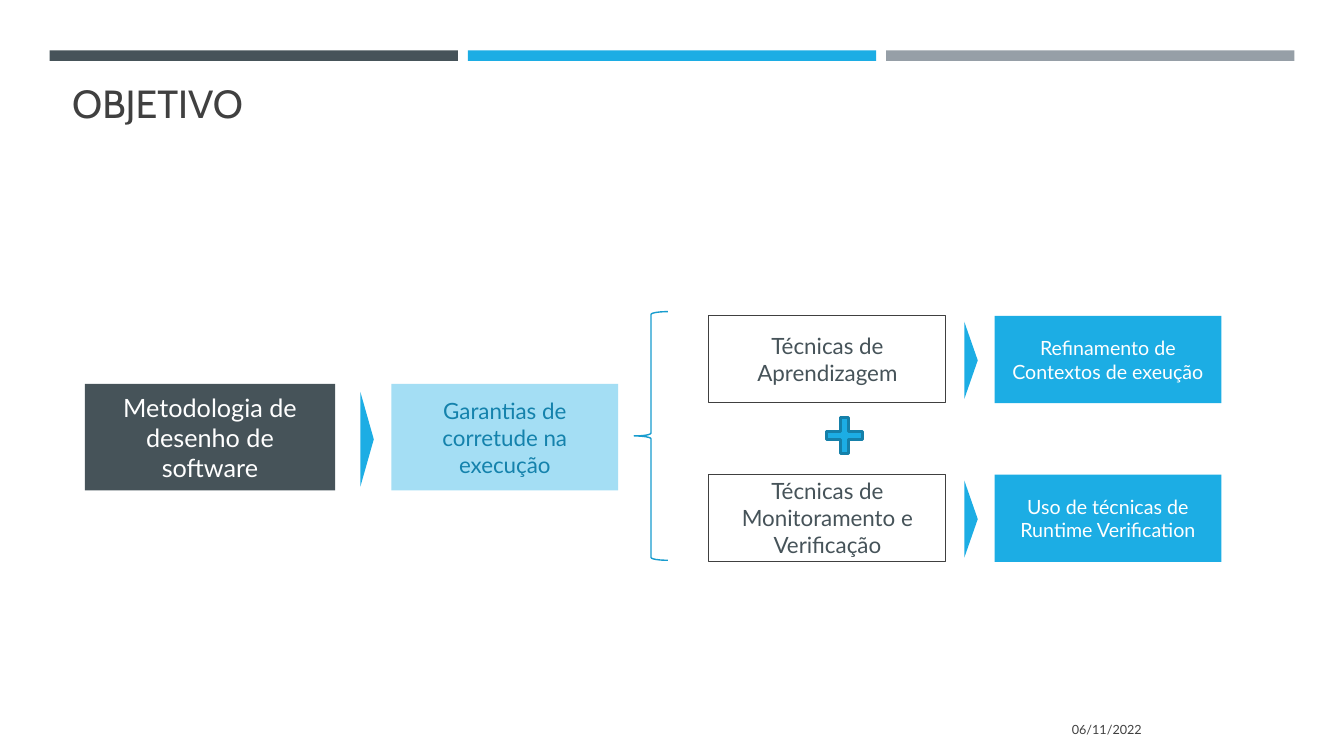
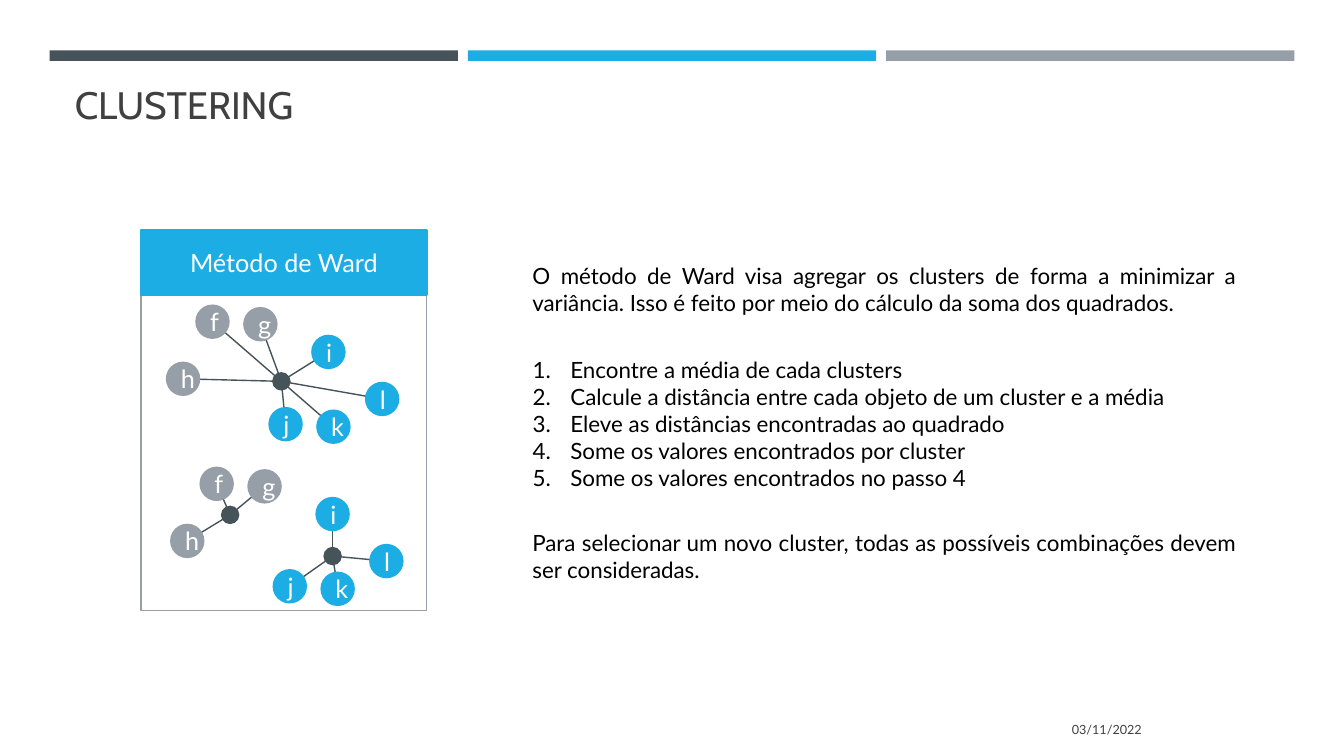
from lxml.etree import SubElement
from pptx import Presentation
from pptx.dml.color import RGBColor
from pptx.enum.shapes import MSO_CONNECTOR, MSO_SHAPE as SHAPE
from pptx.enum.text import MSO_ANCHOR as ANCHOR, MSO_AUTO_SIZE, PP_ALIGN as ALIGN
from pptx.oxml.ns import qn
from pptx.util import Emu, Pt

COLUMNS, ROWS = 160, 90
CELL = Emu(76200)
COLORS = {
    "slate": "465359", "blue": "1CADE4", "gray": "969FA7", "pale": "A4DEF4",
    "deep": "1482AC", "brace": "189CCE", "edge": "1580A9",
    "ink": "404040", "white": "FFFFFF", "black": "000000",
}
RGB = {name: RGBColor.from_string(value) for name, value in COLORS.items()}


def draw(slide, kind, area, fill=None, line=None, weight=1):
    spots = [round(n * CELL) for n in area]
    if kind is None:
        return slide.shapes.add_textbox(*spots)
    shape = slide.shapes.add_shape(kind, *spots)
    shape.shadow.inherit = False
    if fill:
        shape.fill.solid()
        shape.fill.fore_color.rgb = RGB[fill]
    else:
        shape.fill.background()
    if line:
        shape.line.color.rgb = RGB[line]
        shape.line.width = Pt(weight)
    else:
        shape.line.fill.background()
    return shape


def write(shape, lines, size, color, align=ALIGN.CENTER, anchor=ANCHOR.MIDDLE,
          font="Lato", numbered=False):
    frame = shape.text_frame
    frame.word_wrap = True
    frame.auto_size = MSO_AUTO_SIZE.NONE
    frame.vertical_anchor = anchor
    frame.text = "\n".join(lines)
    for paragraph in frame.paragraphs:
        paragraph.alignment = align
        paragraph.space_before = Pt(0)
        if numbered:
            props = paragraph._p.get_or_add_pPr()
            props.set("marL", "342900")
            props.set("indent", "-342900")
            SubElement(props, qn("a:buFont")).set("typeface", "+mj-lt")
            SubElement(props, qn("a:buAutoNum")).set("type", "arabicPeriod")
        paragraph.font.name = font
        paragraph.font.size = Pt(size)
        paragraph.font.color.rgb = RGB[color]


deck = Presentation()
deck.slide_width, deck.slide_height = COLUMNS * CELL, ROWS * CELL

pages = []
for layout, heading, size, area, date in [
    (5, "OBJETIVO", 28, (7.4, 7.8, 138, 7.8), "06/11/2022"),
    (1, "CLUSTERING", 27.3, (7.7, 9.2, 144.7, 6.6), "03/11/2022"),
]:
    page = deck.slides.add_slide(deck.slide_layouts[layout])
    for index, color in enumerate(["slate", "blue", "gray"]):
        draw(page, SHAPE.RECTANGLE, (5.9 + 49.8 * index, 6, 48.6, 1.25), color)
    title = page.shapes.title
    title.left, title.top, title.width, title.height = (round(n * CELL) for n in area)
    write(title, [heading], size, "ink", ALIGN.LEFT, ANCHOR.BOTTOM, "Cabin")
    write(draw(page, None, (99.8, 84.4, 37.3, 4.8)), [date], 9, "ink", ALIGN.RIGHT)
    pages.append(page)
objective, clustering = pages

steps = [
    ((10.1, 45.7, 29.8, 12.7), "slate", None, "Metodologia de desenho de software", 18, "white"),
    ((46.6, 45.7, 27, 12.7), "pale", None, "Garantias de corretude na execução", 16, "deep"),
]
arrows = [(43.7, 52.3, 11.3)]
for row, technique, result in [
    (37.6, "Técnicas de Aprendizagem", "Refinamento de Contextos de exeução"),
    (56.5, "Técnicas de Monitoramento e Verificação", "Uso de técnicas de Runtime Verification"),
]:
    steps.append(((84.4, row, 28.2, 10.3), None, "ink", technique, 16, "slate"))
    steps.append(((118.4, row, 27, 10.4), "blue", None, result, 14, "white"))
    arrows.append((115.6, row + 5.3, 9.2))

for area, fill, line, text, size, color in steps:
    write(draw(objective, SHAPE.RECTANGLE, area, fill, line, 0.75), [text], size, color)
for column, row, length in arrows:
    arrow = draw(objective, SHAPE.ISOSCELES_TRIANGLE,
                 (column - length / 2, row - 0.8, length, 1.6), "blue")
    arrow.rotation = 90
draw(objective, SHAPE.LEFT_BRACE, (75.5, 37.1, 4, 29.6), line="brace")
plus = draw(objective, SHAPE.CROSS, (98.4, 49.7, 4.3, 4.3), "blue", "edge", 1.75)
plus.adjustments[0] = 0.39

draw(clustering, SHAPE.RECTANGLE, (16.8, 33.6, 34, 39.1), line="gray")
header = draw(clustering, SHAPE.RECTANGLE, (16.8, 27.4, 34, 7.7), "blue", "blue", 1.75)
write(header, ["Método de Ward"], 18, "white")

NODE, MEAN = 4.1, 2.2
points = {
    "f": (25.3, 38.3), "g": (31, 38.6), "h": (21.8, 45.1), "i": (39.1, 41.9),
    "j": (34, 50.5), "k": (39.7, 50.8), "l": (45.5, 47.5),
}
for members, mean, shift in [
    ("fghijkl", (33.5, 45.4), (0, 0)),
    ("fgh", (27.4, 61.3), (0.5, 19.3)),
    ("ijkl", (39.6, 66.2), (0.5, 19.3)),
]:
    centers = {m: (points[m][0] + shift[0], points[m][1] + shift[1]) for m in members}
    for center in centers.values():
        link = clustering.shapes.add_connector(
            MSO_CONNECTOR.STRAIGHT, *(round(n * CELL) for n in center + mean))
        link.line.color.rgb = RGB["slate"]
        link.line.width = Pt(1)
        SubElement(link._element.spPr, qn("a:effectLst"))
    draw(clustering, SHAPE.OVAL, (mean[0] - MEAN / 2, mean[1] - MEAN / 2, MEAN, MEAN), "slate")
    for member, (x, y) in centers.items():
        node = draw(clustering, SHAPE.OVAL, (x - NODE / 2, y - NODE / 2, NODE, NODE),
                    "gray" if member in "fgh" else "blue")
        write(node, [member], 18, "white")

for row, text in [
    (30.6, "O método de Ward visa agregar os clusters de forma a minimizar a variância. "
           "Isso é feito por meio do cálculo da soma dos quadrados."),
    (62.4, "Para selecionar um novo cluster, todas as possíveis combinações devem ser consideradas."),
]:
    write(draw(clustering, None, (62.2, row, 86.2, 7.7)), [text], 16, "black",
          ALIGN.JUSTIFY, ANCHOR.TOP)

procedure = clustering.placeholders[1]
procedure.left, procedure.top, procedure.width, procedure.height = (
    round(n * CELL) for n in (62.2, 41.8, 78.8, 17.4))
write(procedure, [
    "Encontre a média de cada clusters",
    "Calcule a distância entre cada objeto de um cluster e a média",
    "Eleve as distâncias encontradas ao quadrado",
    "Some os valores encontrados por cluster",
    "Some os valores encontrados no passo 4",
], 16, "black", ALIGN.JUSTIFY, ANCHOR.TOP, numbered=True)

deck.save("out.pptx")
